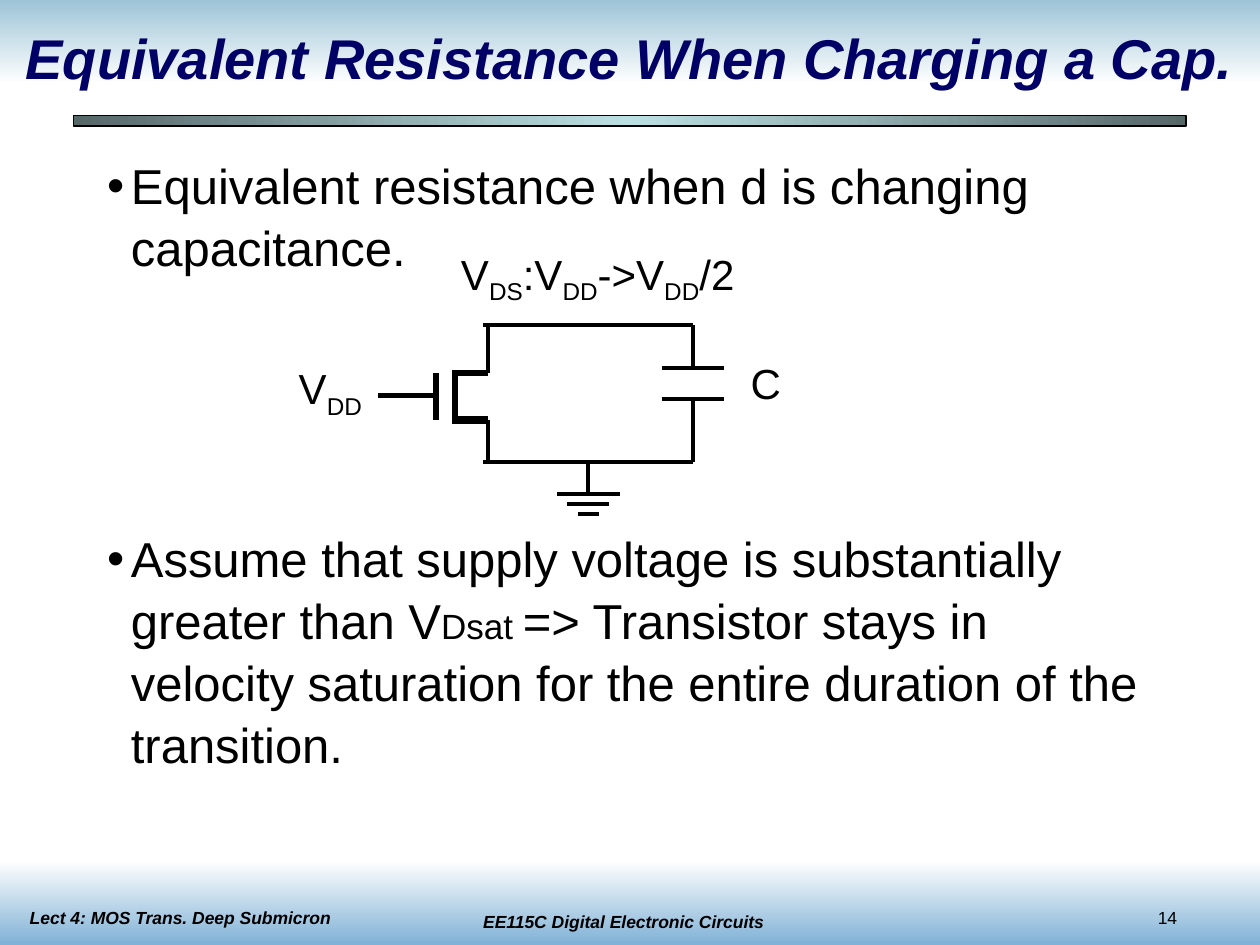
from dataclasses import dataclass

from lxml import etree
from pptx import Presentation
from pptx import util as u
from pptx.dml.color import RGBColor
from pptx.enum import shapes, text
from pptx.oxml.ns import qn

FONT = "Arial"
BLACK, NAVY = "000000", "000066"
LEFT, CENTER = text.PP_ALIGN.LEFT, text.PP_ALIGN.CENTER


@dataclass
class Box:
    left: float
    top: float
    width: float
    height: float

    def lengths(self) -> list:
        return [u.Cm(v) for v in (self.left, self.top, self.width, self.height)]


@dataclass
class Style:
    size: float
    color: str = BLACK
    bold: bool = False
    italic: bool = False


@dataclass
class Phrase:
    words: str
    subscript: bool = False
    size: float = 0  # 0 keeps the size of the style


@dataclass
class Label:
    box: Box
    phrases: list[Phrase]
    style: Style
    align: int = CENTER
    wrap: bool = False


@dataclass
class Wire:
    x1: float
    y1: float
    x2: float
    y2: float
    weight: float = 2.25


def color(hex_code: str) -> RGBColor:
    return RGBColor.from_string(hex_code)


def add_band(slide, box: Box, colors: list[str], angle: float, outlined: bool = False) -> None:
    band = slide.shapes.add_shape(shapes.MSO_SHAPE.RECTANGLE, *box.lengths())
    band.shadow.inherit = False
    band.fill.gradient()
    band.fill.gradient_angle = angle
    stops = band._element.spPr.find(".//" + qn("a:gsLst"))
    for stop in list(stops):
        stops.remove(stop)
    for i, hex_code in enumerate(colors):
        stop = etree.SubElement(stops, qn("a:gs"), pos=str(100000 * i // (len(colors) - 1)))
        etree.SubElement(stop, qn("a:srgbClr"), val=hex_code)
    if outlined:
        band.line.color.rgb = color(BLACK)
        band.line.width = u.Pt(0.75)
    else:
        band.line.fill.background()


def add_runs(paragraph, phrases: list[Phrase], style: Style) -> None:
    for phrase in phrases:
        run = paragraph.add_run()
        run.text = phrase.words
        font = run.font
        font.name, font.size = FONT, u.Pt(phrase.size or style.size)
        font.bold, font.italic = style.bold, style.italic
        font.color.rgb = color(style.color)
        if phrase.subscript:
            run._r.get_or_add_rPr().set("baseline", "-25000")


def add_label(slide, label: Label) -> None:
    frame = slide.shapes.add_textbox(*label.box.lengths()).text_frame
    frame.word_wrap = label.wrap
    paragraph = frame.paragraphs[0]
    paragraph.alignment = label.align
    add_runs(paragraph, label.phrases, label.style)


def add_bullets(slide, box: Box, bullets: list[list[Phrase]], style: Style, gap: float) -> None:
    frame = slide.shapes.add_textbox(*box.lengths()).text_frame
    frame.word_wrap = True
    for i, phrases in enumerate(bullets):
        paragraph = frame.add_paragraph() if i else frame.paragraphs[0]
        props = paragraph._p.get_or_add_pPr()
        indent = u.Cm(0.48)
        props.set("marL", str(indent))
        props.set("indent", str(-indent))
        etree.SubElement(props, qn("a:buFont"), typeface=FONT)
        etree.SubElement(props, qn("a:buChar"), char="•")
        paragraph.line_spacing = 1.05
        if i:
            paragraph.space_before = u.Pt(gap)
        add_runs(paragraph, phrases, style)


def add_wire(slide, wire: Wire) -> None:
    ends = [u.Cm(v) for v in (wire.x1, wire.y1, wire.x2, wire.y2)]
    line = slide.shapes.add_connector(shapes.MSO_CONNECTOR.STRAIGHT, *ends)
    line.line.color.rgb = color(BLACK)
    line.line.width = u.Pt(wire.weight)
    etree.SubElement(line._element.spPr, qn("a:effectLst"))


def circuit() -> list[Wire]:
    top, bottom = 6.55, 9.32
    drain, source = 7.52, 8.46
    channel, terminal = 9.17, 9.83
    cap, cap_half, plates = 13.97, 0.63, (7.42, 8.05)
    ground, ground_top, ground_step = 11.86, 9.96, 0.2
    transistor = [
        Wire(7.62, 7.98, 8.79, 7.98, 3),
        Wire(8.79, drain, 8.79, source, 3),
        Wire(channel, drain, channel, source, 3),
        Wire(9.12, source, terminal, source, 4.5),
        Wire(terminal, source, terminal, bottom),
        Wire(9.12, drain, terminal, drain, 3),
        Wire(terminal, drain, terminal, top),
    ]
    rails = [Wire(9.73, y, cap, y) for y in (top, bottom)]
    capacitor = [Wire(cap - cap_half, y, cap + cap_half, y) for y in plates]
    capacitor += [Wire(cap, top, cap, plates[0]), Wire(cap, plates[1], cap, bottom)]
    earth = [Wire(ground, bottom, ground, ground_top)]
    for i, half in enumerate((0.63, 0.42, 0.21)):
        y = ground_top + i * ground_step
        earth.append(Wire(ground - half, y, ground + half, y))
    return transistor + rails + capacitor + earth


def main() -> None:
    deck = Presentation()
    deck.slide_width, deck.slide_height = u.Cm(25.4), u.Cm(19.05)
    slide = deck.slides.add_slide(deck.slide_layouts[6])

    # Header and footer bands, title rule
    add_band(slide, Box(0, 0, 25.4, 1.7), ["9DC4D7", "FFFFFF"], 270)
    add_band(slide, Box(0, 17.35, 25.4, 1.7), ["FFFFFF", "80B1D6"], 270)
    add_band(slide, Box(1.48, 2.33, 22.43, 0.21), ["566768", "BBE0E3", "566768"], 0, True)

    # Footer and title
    footer = Style(10, bold=True, italic=True)
    course = [Phrase("EE115C Digital Electronic Circuits")]
    lecture = [Phrase("Lect 4: MOS Trans. Deep Submicron")]
    title = [Phrase("Equivalent Resistance When Charging a Cap.")]
    add_label(slide, Label(Box(8.97, 18.24, 7.2, 0.68), course, footer, wrap=True))
    add_label(slide, Label(Box(23.09, 18.16, 2.1, 0.68), [Phrase("14")], Style(10), LEFT, True))
    add_label(slide, Label(Box(0.35, 18.16, 7.2, 0.68), lecture, footer, LEFT, True))
    add_label(slide, Label(Box(0, 0.34, 25.4, 1.7), title, Style(32, NAVY, True, True), wrap=True))

    # Bullets, spaced to leave room for the circuit
    bullets = [
        [Phrase("Equivalent resistance when d is changing capacitance.")],
        [
            Phrase("Assume that supply voltage is substantially greater than V"),
            Phrase("Dsat ", size=20),
            Phrase("=> Transistor stays in velocity saturation for the entire "
                   "duration of the transition."),
        ],
    ]
    add_bullets(slide, Box(1.91, 2.96, 21.59, 14.6), bullets, Style(28), 142.5)

    # Circuit and its labels
    for wire in circuit():
        add_wire(slide, wire)
    symbol = Style(24)
    volt, supply = Phrase("V"), Phrase("DD", True)
    swing = [volt, Phrase("DS", True), Phrase(":V"), supply, Phrase("->V"), supply, Phrase("/2")]
    add_label(slide, Label(Box(5.77, 7.19, 1.78, 1.42), [volt, supply], symbol))
    add_label(slide, Label(Box(9.04, 4.88, 6.02, 1.42), swing, symbol))
    add_label(slide, Label(Box(14.88, 7.09, 1.12, 1.27), [Phrase("C")], symbol))

    deck.save("out.pptx")


if __name__ == "__main__":
    main()
